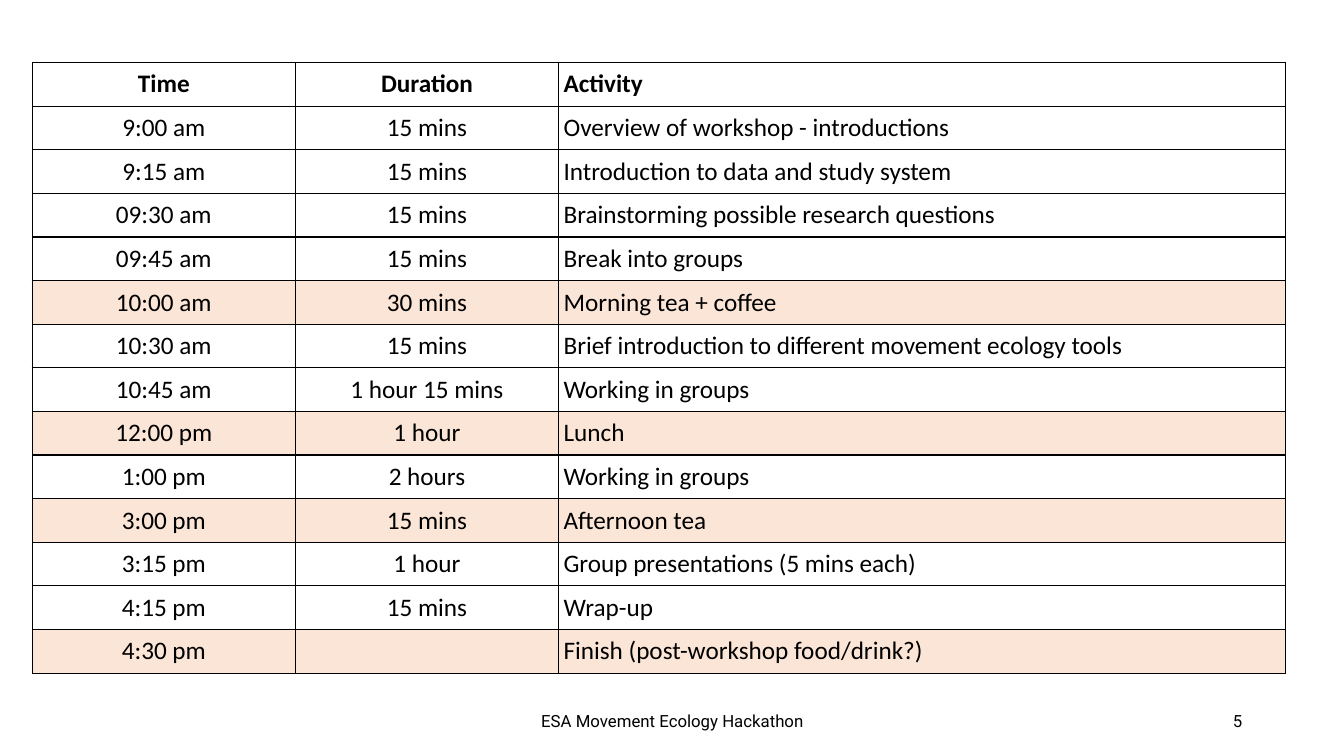
from lxml import etree
from pptx import Presentation
from pptx import util as u
from pptx.dml import color
from pptx.enum import text
from pptx.oxml import ns

PX = 9144
BLACK, WHITE, PEACH = "000000", "FFFFFF", "FBE5D6"
LEFT, CENTER, RIGHT = text.PP_ALIGN.LEFT, text.PP_ALIGN.CENTER, text.PP_ALIGN.RIGHT
HEADING = {"name": "Calibri", "size": u.Pt(18), "bold": True}
BODY = {**HEADING, "bold": False}
FOOTER = {"name": "Roboto", "size": u.Pt(12)}
CELL = {
    "vertical_anchor": text.MSO_ANCHOR.MIDDLE,
    "margin_left": 5 * PX,
    "margin_right": 5 * PX,
    "margin_top": 5 * PX,
    "margin_bottom": 5 * PX,
}
COLUMNS = [(261, CENTER), (261, CENTER), (721, LEFT)]
SCHEDULE = [
    ("Time", "Duration", "Activity"),
    ("9:00 am", "15 mins", "Overview of workshop - introductions"),
    ("9:15 am", "15 mins", "Introduction to data and study system"),
    ("09:30 am", "15 mins", "Brainstorming possible research questions"),
    ("09:45 am", "15 mins", "Break into groups"),
    ("10:00 am", "30 mins", "Morning tea + coffee"),
    ("10:30 am", "15 mins", "Brief introduction to different movement ecology tools"),
    ("10:45 am", "1 hour 15 mins", "Working in groups"),
    ("12:00 pm", "1 hour", "Lunch"),
    ("1:00 pm", "2 hours", "Working in groups"),
    ("3:00 pm", "15 mins", "Afternoon tea"),
    ("3:15 pm", "1 hour", "Group presentations (5 mins each)"),
    ("4:15 pm", "15 mins", "Wrap-up"),
    ("4:30 pm", "", "Finish (post-workshop food/drink?)"),
]
BREAK_TIMES = {"10:00 am", "12:00 pm", "3:00 pm", "4:30 pm"}


def rgb(value):
    """Turn a hex string into a colour."""
    return color.RGBColor.from_string(value)


def apply(target, values):
    """Set each named attribute of the target."""
    for name, value in values.items():
        setattr(target, name, value)


def write(paragraph, words, align, font):
    """Write one run with its alignment and font."""
    paragraph.alignment = align
    if words:
        run = paragraph.add_run()
        run.text = words
        apply(run.font, font)
        run.font.color.rgb = rgb(BLACK)


def add_label(slide, left, top, width, height, words, align):
    """Add a footer text box."""
    frame = slide.shapes.add_textbox(left * PX, top * PX, width * PX, height * PX).text_frame
    apply(frame, {"word_wrap": True, "vertical_anchor": text.MSO_ANCHOR.MIDDLE})
    write(frame.paragraphs[0], words, align, FOOTER)


def add_borders(cell):
    """Draw a thin black line on all four sides of a cell."""
    properties = cell._tc.get_or_add_tcPr()
    for side in ("lnL", "lnR", "lnT", "lnB"):
        line = etree.SubElement(properties, ns.qn(f"a:{side}"), w=str(u.Pt(1)))
        fill = etree.SubElement(line, ns.qn("a:solidFill"))
        etree.SubElement(fill, ns.qn("a:srgbClr"), val=BLACK)


def format_cell(cell, words, align, font, fill):
    """Fill in one cell with its words and look."""
    apply(cell, CELL)
    add_borders(cell)
    cell.fill.solid()
    cell.fill.fore_color.rgb = rgb(fill)
    write(cell.text_frame.paragraphs[0], words, align, font)


def add_schedule(slide, left, top, height):
    """Add the timetable with its breaks shaded."""
    width = sum(size for size, _ in COLUMNS)
    table = slide.shapes.add_table(
        len(SCHEDULE), len(COLUMNS), left * PX, top * PX, width * PX, height * PX
    ).table
    apply(table, {"first_row": False, "horz_banding": False})
    for column, (size, _) in zip(table.columns, COLUMNS):
        column.width = size * PX
    for index, entry in enumerate(SCHEDULE):
        font = BODY if index else HEADING
        fill = PEACH if entry[0] in BREAK_TIMES else WHITE
        for cell, words, (_, align) in zip(table.rows[index].cells, entry, COLUMNS):
            format_cell(cell, words, align, font, fill)


def main():
    """Build the workshop timetable slide."""
    presentation = Presentation()
    apply(presentation, {"slide_width": 1333 * PX, "slide_height": 750 * PX})
    slide = presentation.slides.add_slide(presentation.slide_layouts[6])
    add_label(slide, 442, 695, 450, 40, "ESA Movement Ecology Hackathon", CENTER)
    add_label(slide, 942, 695, 300, 40, "5", RIGHT)
    add_schedule(slide, 32, 62, 606)
    presentation.save("out.pptx")


if __name__ == "__main__":
    main()
